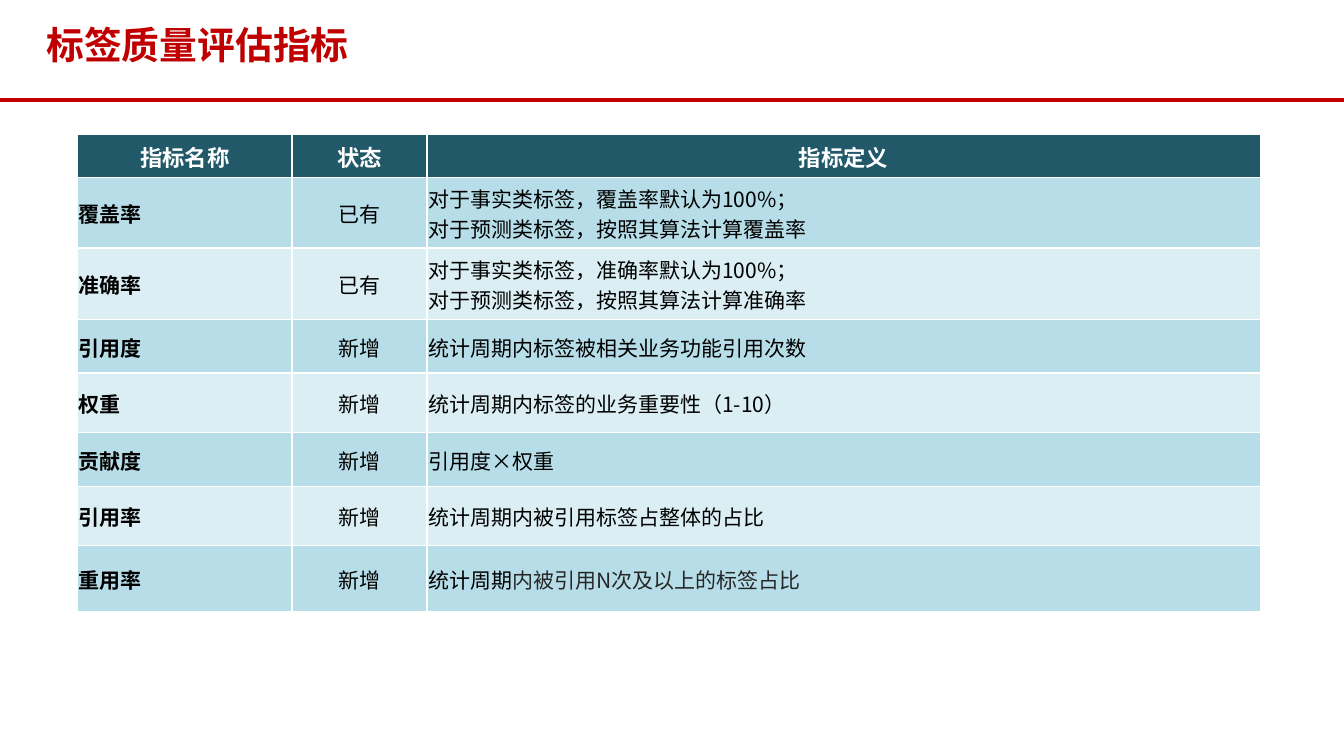
import pptx
import pptx.dml.color
import pptx.enum.shapes
import pptx.enum.text
import pptx.oxml
import pptx.oxml.ns
import pptx.util
from pptx.dml.color import RGBColor
from pptx.util import Cm, Pt

RED = RGBColor(0xC0, 0x00, 0x00)
WHITE = RGBColor(0xFF, 0xFF, 0xFF)
BLACK = RGBColor(0x00, 0x00, 0x00)
GREY = RGBColor(0x26, 0x26, 0x26)
HEADER_TEAL = RGBColor(0x21, 0x59, 0x68)
BAND_COLORS = (RGBColor(0xB7, 0xDE, 0xE8), RGBColor(0xDB, 0xEE, 0xF4))

LEFT = pptx.enum.text.PP_ALIGN.LEFT
CENTER = pptx.enum.text.PP_ALIGN.CENTER
MIDDLE = pptx.enum.text.MSO_ANCHOR.MIDDLE

COLUMN_WIDTHS = (5.4, 3.4, 21)
ROW_HEIGHTS = (1.08, 1.78, 1.8, 1.35, 1.5, 1.35, 1.5, 1.65)
HEADINGS = ("指标名称", "状态", "指标定义")
# Each definition is a list of paragraphs; a paragraph is a list of (text, colour) runs.
INDICATORS = (
    ("覆盖率", "已有", [[("对于事实类标签，覆盖率默认为100%；", BLACK)],
                     [("对于预测类标签，按照其算法计算覆盖率", BLACK)]]),
    ("准确率", "已有", [[("对于事实类标签，准确率默认为100%；", BLACK)],
                     [("对于预测类标签，按照其算法计算准确率", BLACK)]]),
    ("引用度", "新增", [[("统计周期内标签被相关业务功能引用次数", BLACK)]]),
    ("权重", "新增", [[("统计周期内标签的业务重要性（1-10）", BLACK)]]),
    ("贡献度", "新增", [[("引用度×权重", BLACK)]]),
    ("引用率", "新增", [[("统计周期内被引用标签占整体的占比", BLACK)]]),
    ("重用率", "新增", [[("统计周期", BLACK), ("内被引用N次及以上的标签占比", GREY)]]),
)


class SlideBuilder:
    title_font = "Arial"
    body_font = "Noto Sans CJK SC"

    def __init__(self, slide):
        self.slide = slide

    def add_paragraphs(self, text_frame, paragraphs, size, font, bold=False, align=LEFT):
        """Fill a text frame from paragraphs of (text, colour) runs."""
        for index, runs in enumerate(paragraphs):
            paragraph = text_frame.add_paragraph() if index else text_frame.paragraphs[0]
            paragraph.alignment = align
            for text, color in runs:
                run = paragraph.add_run()
                run.text = text
                run.font.size = Pt(size)
                run.font.bold = bold
                run.font.color.rgb = color
                run.font.name = font
                east_asian = pptx.oxml.parse_xml(
                    f'<a:ea {pptx.oxml.ns.nsdecls("a")} typeface="{self.body_font}"/>')
                run.font._element.append(east_asian)

    def title(self, text, left, top, width, height):
        box = self.slide.shapes.add_textbox(Cm(left), Cm(top), Cm(width), Cm(height))
        box.text_frame.word_wrap = True
        box.text_frame.vertical_anchor = MIDDLE
        self.add_paragraphs(box.text_frame, [[(text, RED)]], 27, self.title_font, bold=True)

    def rule(self, top, width):
        line = self.slide.shapes.add_connector(
            pptx.enum.shapes.MSO_CONNECTOR.STRAIGHT, 0, Cm(top), width, Cm(top))
        line.line.color.rgb = RED
        line.line.width = Pt(2.25)
        line._element.spPr.append(
            pptx.oxml.parse_xml(f'<a:effectLst {pptx.oxml.ns.nsdecls("a")}/>'))

    def cell(self, cell, paragraphs, fill, size, bold, align):
        cell.fill.solid()
        cell.fill.fore_color.rgb = fill
        cell.vertical_anchor = MIDDLE
        cell.margin_left = cell.margin_right = cell.margin_top = Cm(0.03)
        cell.margin_bottom = 0
        properties = cell._tc.get_or_add_tcPr()
        for index, side in enumerate(("lnL", "lnR", "lnT", "lnB")):
            properties.insert(index, pptx.oxml.parse_xml(
                f'<a:{side} {pptx.oxml.ns.nsdecls("a")} w="{Pt(1)}">'
                f'<a:solidFill><a:srgbClr val="{WHITE}"/></a:solidFill></a:{side}>'))
        self.add_paragraphs(cell.text_frame, paragraphs, size, self.body_font, bold, align)

    def indicator_table(self, left, top):
        table = self.slide.shapes.add_table(
            len(ROW_HEIGHTS), len(COLUMN_WIDTHS), Cm(left), Cm(top),
            Cm(sum(COLUMN_WIDTHS)), Cm(sum(ROW_HEIGHTS))).table
        for column, width in zip(table.columns, COLUMN_WIDTHS):
            column.width = Cm(width)
        for row, height in zip(table.rows, ROW_HEIGHTS):
            row.height = Cm(height)
        for column, heading in enumerate(HEADINGS):
            self.cell(table.cell(0, column), [[(heading, WHITE)]],
                      HEADER_TEAL, 16, True, CENTER)
        for row, (name, status, definition) in enumerate(INDICATORS, start=1):
            fill = BAND_COLORS[(row - 1) % 2]
            self.cell(table.cell(row, 0), [[(name, BLACK)]], fill, 15, True, LEFT)
            self.cell(table.cell(row, 1), [[(status, BLACK)]], fill, 15, False, CENTER)
            self.cell(table.cell(row, 2), definition, fill, 15, False, LEFT)


def main():
    presentation = pptx.Presentation()
    presentation.slide_width = Cm(33.87)
    presentation.slide_height = Cm(19.05)
    builder = SlideBuilder(presentation.slides.add_slide(presentation.slide_layouts[6]))
    builder.rule(2.52, presentation.slide_width)
    builder.indicator_table(1.96, 3.39)
    builder.title("标签质量评估指标", 0.92, 0.38, 26.2, 1.5)
    presentation.save("out.pptx")


if __name__ == "__main__":
    main()
